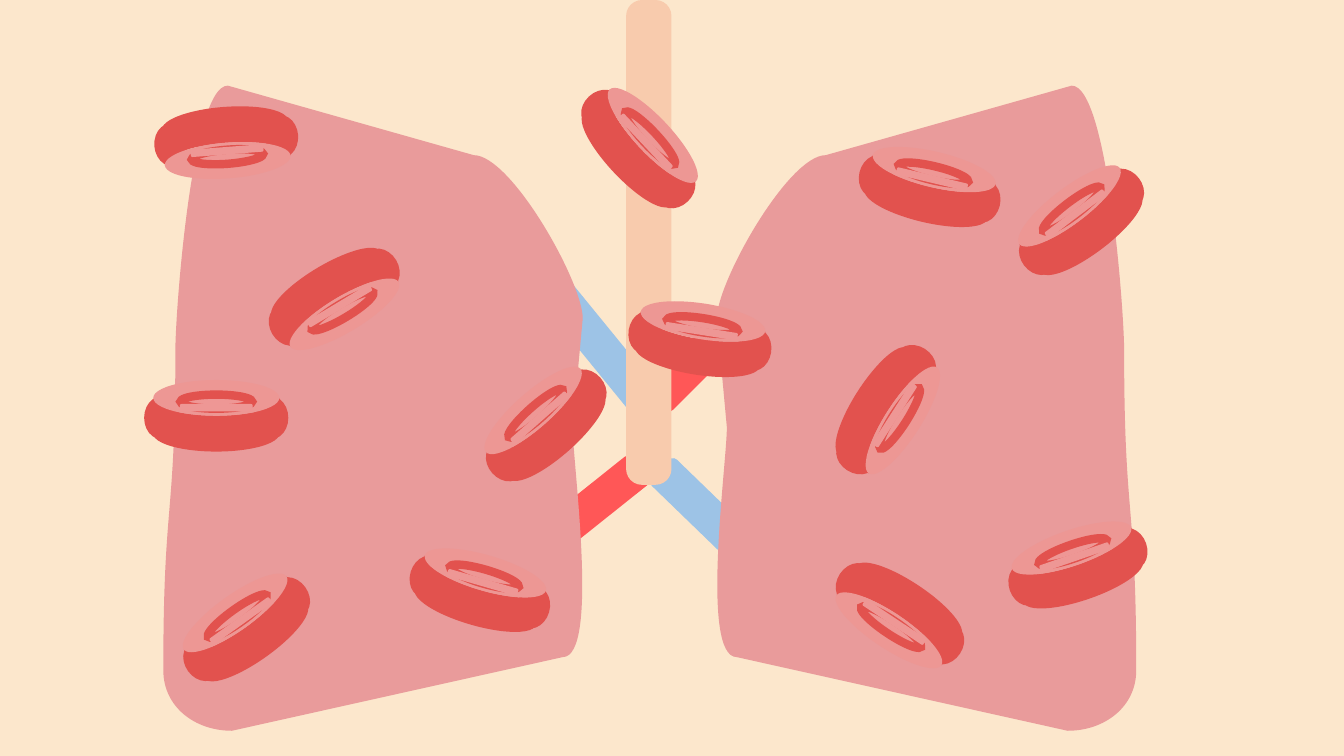
from dataclasses import dataclass

from lxml import etree
from pptx import Presentation
from pptx.dml.color import RGBColor
from pptx.enum.shapes import MSO_SHAPE
from pptx.oxml.ns import qn
from pptx.util import Inches, Pt

RECTANGLE = MSO_SHAPE.RECTANGLE
ROUNDED = MSO_SHAPE.ROUNDED_RECTANGLE
ELLIPSE = MSO_SHAPE.OVAL
CAN = MSO_SHAPE.CAN


@dataclass(frozen=True)
class Theme:
    backdrop: str = "FCE7CC"
    lung: str = "E99B9B"
    trachea: str = "F8CBAD"
    vein: str = "9DC3E6"
    artery: str = "FF5757"
    cell: str = "E2524E"
    cell_center: str = "EE9795"
    rim_width: float = 6
    band_width: float = 1


THEME = Theme()
SLIDE_SIZE = (13.33, 7.5)
VESSEL_SIZE = (0.36, 1.57)
CELL_SIZE = (1.25, 0.71)
END_SIZE = (0.33, 0.42)
MIRROR_WIDTH = 12.89

VESSELS = [
    ((5.73, 2.6), 320.8, THEME.vein),
    ((5.56, 4.34), 231.4, THEME.artery),
    ((6.88, 2.64), 224.9, THEME.artery),
    ((6.93, 4.41), 134.1, THEME.vein),
]

LUNG_OUTLINE = [
    [(1.74, 3.47)],
    [(1.74, 3.11), (1.9, 0.85), (2.26, 0.85)],
    [(4.7, 1.54)],
    [(5.07, 1.54), (5.78, 2.8), (5.78, 3.16)],
    [(5.68, 4.24)],
    [(5.68, 4.6), (5.95, 6.52), (5.58, 6.52)],
    [(2.3, 7.25)],
    [(1.93, 7.25), (1.62, 7.01), (1.62, 6.65)],
    [(1.62, 4.93), (1.74, 5.19), (1.74, 3.47)],
]

BLOOD_CELLS = [
    ((10.09, 1.83), 322.8),
    ((10.06, 5.25), 341),
    ((1.52, 3.77), 0),
    ((8.29, 5.75), 213.7),
    ((8.18, 3.72), 122.7),
    ((8.6, 1.5), 13.3),
    ((4.78, 3.85), 318.6),
    ((1.81, 5.87), 324.5),
    ((2.7, 2.61), 149.1),
    ((1.62, 1.06), 175.6),
    ((4.14, 5.5), 16.2),
    ((6.32, 3.01), 9),
    ((5.72, 1.11), 46.8),
]


def paint(shape, color, line_color=None, line_width=0):
    shape.shadow.inherit = False
    shape.fill.solid()
    shape.fill.fore_color.rgb = RGBColor.from_string(color)
    if line_color:
        shape.line.color.rgb = RGBColor.from_string(line_color)
        shape.line.width = Pt(line_width)
        line = shape.line.fill._xPr
        etree.SubElement(line, qn("a:miter"), lim="800000")
    else:
        shape.line.fill.background()


def add_part(shapes, kind, corner, size, color, line_color=None, line_width=0):
    shape = shapes.add_shape(kind, *map(Inches, corner + size))
    paint(shape, color, line_color, line_width)
    return shape


def add_lung(shapes, outline):
    segments = [[(Inches(x), Inches(y)) for x, y in segment] for segment in outline]
    anchors = [segment[-1] for segment in segments]
    builder = shapes.build_freeform(*anchors[0])
    builder.add_line_segments(anchors[1:], close=True)
    lung = builder.convert_to_shape()
    paint(lung, THEME.lung)
    sides = list(lung._element.iter(qn("a:lnTo")))
    for side, segment in zip(sides, segments[1:]):
        if len(segment) == 3:
            curve = etree.Element(qn("a:cubicBezTo"))
            for x, y in segment:
                etree.SubElement(curve, qn("a:pt"), x=str(x - lung.left), y=str(y - lung.top))
            side.getparent().replace(side, curve)


def add_blood_cell(shapes, corner, rotation):
    left, top = corner
    center_x, center_y = (start + length / 2 for start, length in zip(corner, CELL_SIZE))
    group = shapes.add_group_shape()

    def add_centered(kind, offset, size, *colors):
        part_left = center_x + offset[0] - size[0] / 2
        part_top = center_y + offset[1] - size[1] / 2
        add_part(group.shapes, kind, (part_left, part_top), size, *colors)

    for end_offset in (0.55, -0.55):
        add_centered(ELLIPSE, (end_offset, 0.02), END_SIZE, THEME.cell)
    body = add_part(group.shapes, CAN, (left, top), CELL_SIZE, THEME.cell)
    body.adjustments[0] = 0.5
    add_centered(ELLIPSE, (0, -0.14), (0.71, 0.14),
                 THEME.cell_center, THEME.cell, THEME.rim_width)
    add_centered(ROUNDED, (0, -0.08), (0.71, 0.06),
                 THEME.cell_center, THEME.cell_center, THEME.band_width)
    group.rotation = rotation


def main():
    deck = Presentation()
    deck.slide_width, deck.slide_height = map(Inches, SLIDE_SIZE)
    shapes = deck.slides.add_slide(deck.slide_layouts[6]).shapes

    add_part(shapes, RECTANGLE, (0, 0), SLIDE_SIZE, THEME.backdrop)
    for corner, rotation, color in VESSELS:
        add_part(shapes, ROUNDED, corner, VESSEL_SIZE, color).rotation = rotation

    add_lung(shapes, LUNG_OUTLINE)
    add_lung(shapes, [[(MIRROR_WIDTH - x, y) for x, y in segment] for segment in LUNG_OUTLINE])

    trachea = add_part(shapes, ROUNDED, (6.21, 0), (0.45, 4.81), THEME.trachea)
    trachea.adjustments[0] = 0.35
    for corner, rotation in BLOOD_CELLS:
        add_blood_cell(shapes, corner, rotation)

    deck.save("out.pptx")


main()
